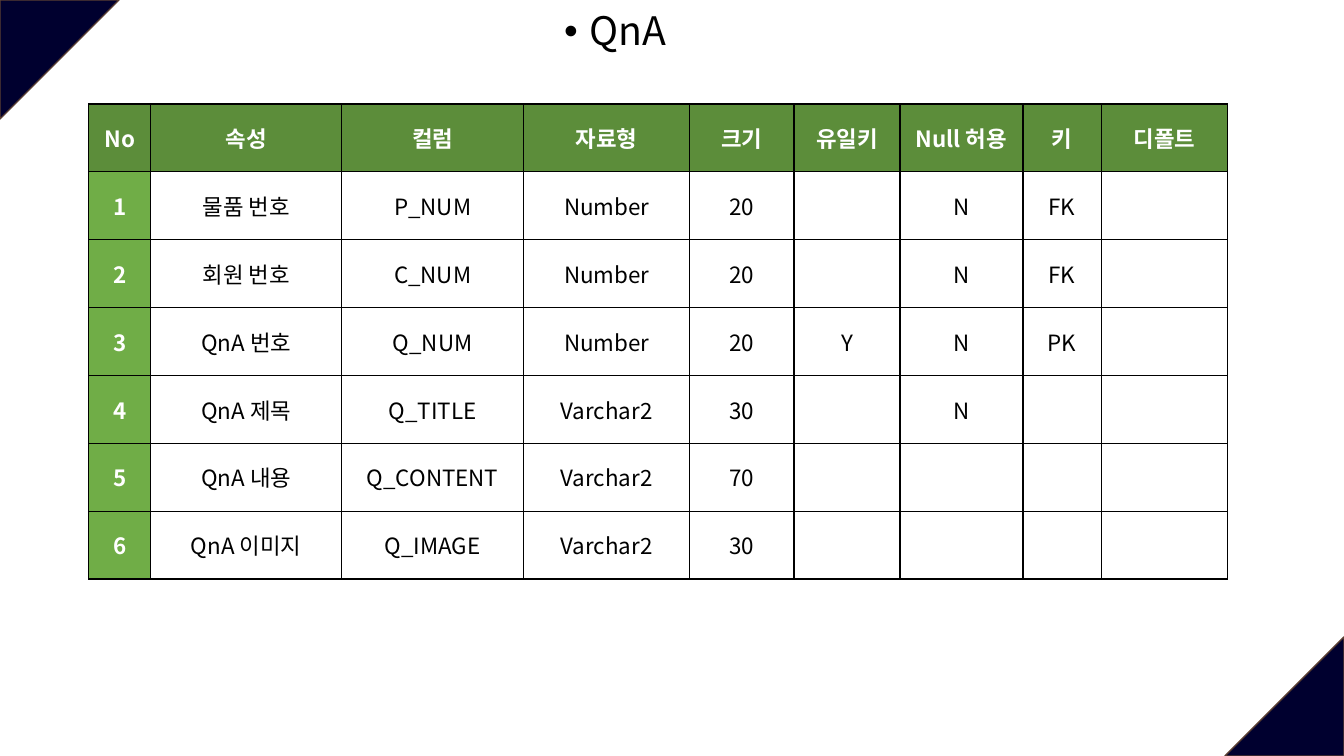
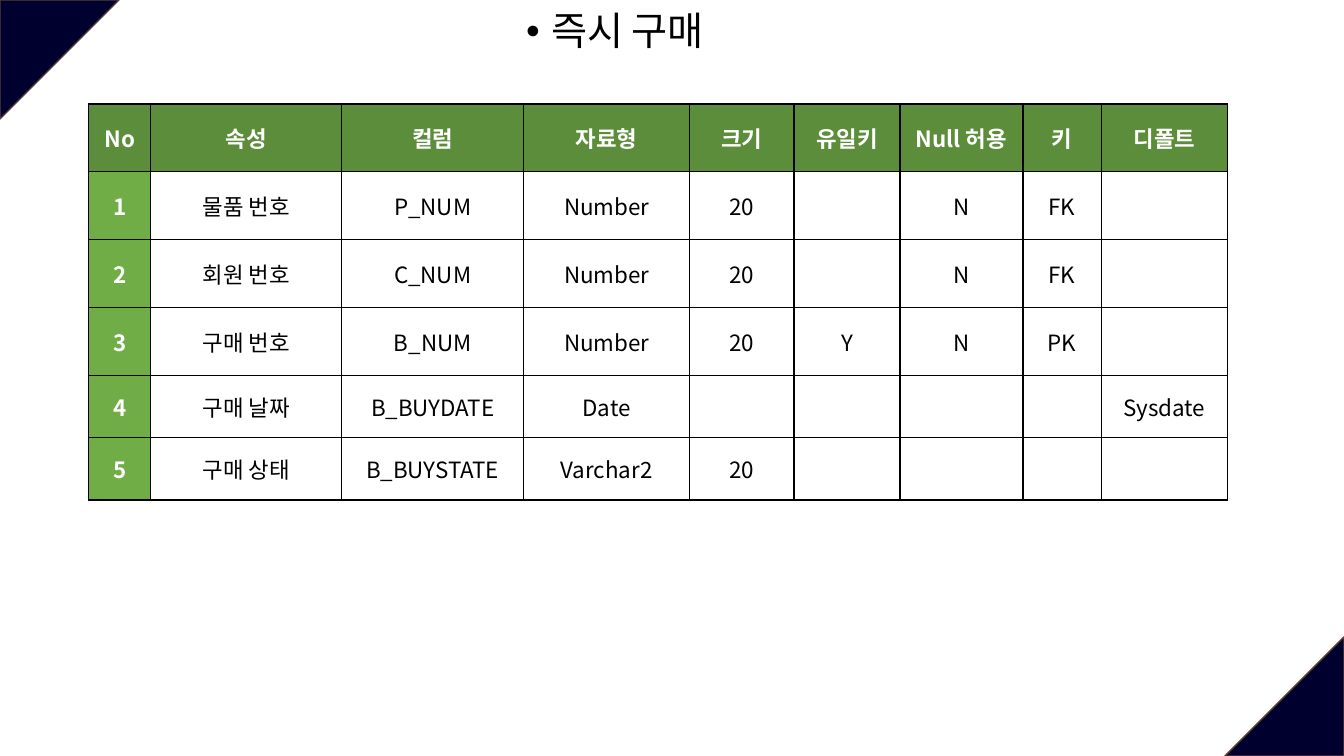
from lxml.etree import SubElement
from pptx import Presentation
from pptx.dml.color import RGBColor
from pptx.enum.shapes import MSO_SHAPE
from pptx.enum.text import MSO_ANCHOR, MSO_AUTO_SIZE, PP_ALIGN
from pptx.oxml.ns import qn
from pptx.util import Cm, Pt

NAVY = RGBColor(0x00, 0x00, 0x2F)
BROWN = RGBColor(0x5B, 0x3F, 0x33)
DARK_GREEN = RGBColor(0x5C, 0x8D, 0x3A)
GREEN = RGBColor(0x70, 0xAD, 0x47)
WHITE = RGBColor(0xFF, 0xFF, 0xFF)
BLACK = RGBColor(0x00, 0x00, 0x00)

FONT = "Noto Sans CJK KR"
WIDTH, HEIGHT = Cm(33.87), Cm(19.05)
CORNER = Cm(3)
COLUMN_WIDTHS = [1.56, 4.81, 4.59, 4.18, 2.63, 2.67, 3.1, 1.97, 3.19]
HEADINGS = ["No", "속성", "컬럼", "자료형", "크기", "유일키", "Null 허용", "키", "디폴트"]
TALL_ROW, SHORT_ROW = 1.71, 1.57

TITLE_BOX = dict(left=Cm(4.72), top=Cm(0), width=Cm(21.56), height=Cm(2.51))
TITLE_FRAME = dict(margin_top=Cm(0.3), vertical_anchor=MSO_ANCHOR.TOP,
                   auto_size=MSO_AUTO_SIZE.NONE, word_wrap=True)
TITLE_PARAGRAPH = dict(alignment=PP_ALIGN.CENTER, line_spacing=0.9, space_before=Pt(0))
CELL = dict(vertical_anchor=MSO_ANCHOR.MIDDLE, margin_left=Cm(0.15), margin_right=Cm(0.15),
            margin_top=Cm(0.15), margin_bottom=Cm(0.15))

COMMON_ROWS = [
    ["물품 번호", "P_NUM", "Number", "20", "", "N", "FK", ""],
    ["회원 번호", "C_NUM", "Number", "20", "", "N", "FK", ""],
]
QNA_ROWS = COMMON_ROWS + [
    ["QnA 번호", "Q_NUM", "Number", "20", "Y", "N", "PK", ""],
    ["QnA 제목", "Q_TITLE", "Varchar2", "30", "", "N", "", ""],
    ["QnA 내용", "Q_CONTENT", "Varchar2", "70", "", "", "", ""],
    ["QnA 이미지", "Q_IMAGE", "Varchar2", "30", "", "", "", ""],
]
PURCHASE_ROWS = COMMON_ROWS + [
    ["구매 번호", "B_NUM", "Number", "20", "Y", "N", "PK", ""],
    ["구매 날짜", "B_BUYDATE", "Date", "", "", "", "", "Sysdate"],
    ["구매 상태", "B_BUYSTATE", "Varchar2", "20", "", "", "", ""],
]


def apply(target, formats):
    for attribute, value in formats.items():
        setattr(target, attribute, value)


class SchemaDeck:
    def __init__(self):
        self.presentation = Presentation()
        apply(self.presentation, dict(slide_width=WIDTH, slide_height=HEIGHT))
        self.slide = None

    def new_slide(self, title):
        layout = self.presentation.slide_layouts.get_by_name("Title Only")
        self.slide = self.presentation.slides.add_slide(layout)
        self.corner(0, 0, 90)
        self.corner(WIDTH - CORNER, HEIGHT - CORNER, 270)
        self.title(title)

    def corner(self, left, top, rotation):
        triangle = self.slide.shapes.add_shape(
            MSO_SHAPE.ISOSCELES_TRIANGLE, left, top, CORNER, CORNER)
        triangle.adjustments[0] = 0
        triangle.rotation = rotation
        triangle.shadow.inherit = False
        triangle.fill.solid()
        triangle.fill.fore_color.rgb = NAVY
        triangle.line.color.rgb = BROWN
        triangle.line.width = Pt(1)

    def title(self, text):
        heading = self.slide.shapes.title
        apply(heading, TITLE_BOX)
        apply(heading.text_frame, TITLE_FRAME)
        paragraph = heading.text_frame.paragraphs[0]
        apply(paragraph, TITLE_PARAGRAPH)
        self.styled_run(paragraph, text, 28, BLACK, False)
        properties = paragraph._p.get_or_add_pPr()
        properties.set("marL", str(Cm(0.63)))
        properties.set("indent", str(-Cm(0.63)))
        SubElement(properties, qn("a:buFont"), typeface="Arial")
        SubElement(properties, qn("a:buChar"), char="•")

    def styled_run(self, paragraph, text, size, color, bold):
        run = paragraph.add_run()
        run.text = text
        apply(run.font, dict(name=FONT, size=Pt(size), bold=bold))
        run.font.color.rgb = color
        SubElement(run._r.get_or_add_rPr(), qn("a:ea"), typeface=FONT)

    def border(self, cell):
        properties = cell._tc.get_or_add_tcPr()
        for side in ("lnL", "lnR", "lnT", "lnB"):
            edge = SubElement(properties, qn(f"a:{side}"), w=str(Pt(1)))
            SubElement(SubElement(edge, qn("a:solidFill")), qn("a:srgbClr"), val=str(BLACK))

    def cell(self, cell, text, fill):
        apply(cell, CELL)
        self.border(cell)
        if fill is None:
            cell.fill.background()
        else:
            cell.fill.solid()
            cell.fill.fore_color.rgb = fill
        paragraph = cell.text_frame.paragraphs[0]
        paragraph.alignment = PP_ALIGN.CENTER
        if text:
            self.styled_run(paragraph, text, 16, WHITE if fill else BLACK, bool(fill))

    def table(self, rows, row_heights):
        numbered = [[str(number), *row] for number, row in enumerate(rows, 1)]
        records = [HEADINGS, *numbered]
        table = self.slide.shapes.add_table(
            len(records), len(HEADINGS), Cm(2.24), Cm(2.62),
            Cm(sum(COLUMN_WIDTHS)), Cm(sum(row_heights))).table
        apply(table, dict(first_col=True, horz_banding=False))
        for column, width in zip(table.columns, COLUMN_WIDTHS):
            column.width = Cm(width)
        for row, height in zip(table.rows, row_heights):
            row.height = Cm(height)
        for r, record in enumerate(records):
            for c, text in enumerate(record):
                fill = DARK_GREEN if r == 0 else GREEN if c == 0 else None
                self.cell(table.cell(r, c), text, fill)


deck = SchemaDeck()
for title, rows, row_heights in (
    ("QnA", QNA_ROWS, [TALL_ROW] * 7),
    ("즉시 구매", PURCHASE_ROWS, [TALL_ROW] * 4 + [SHORT_ROW] * 2),
):
    deck.new_slide(title)
    deck.table(rows, row_heights)
deck.presentation.save("out.pptx")
